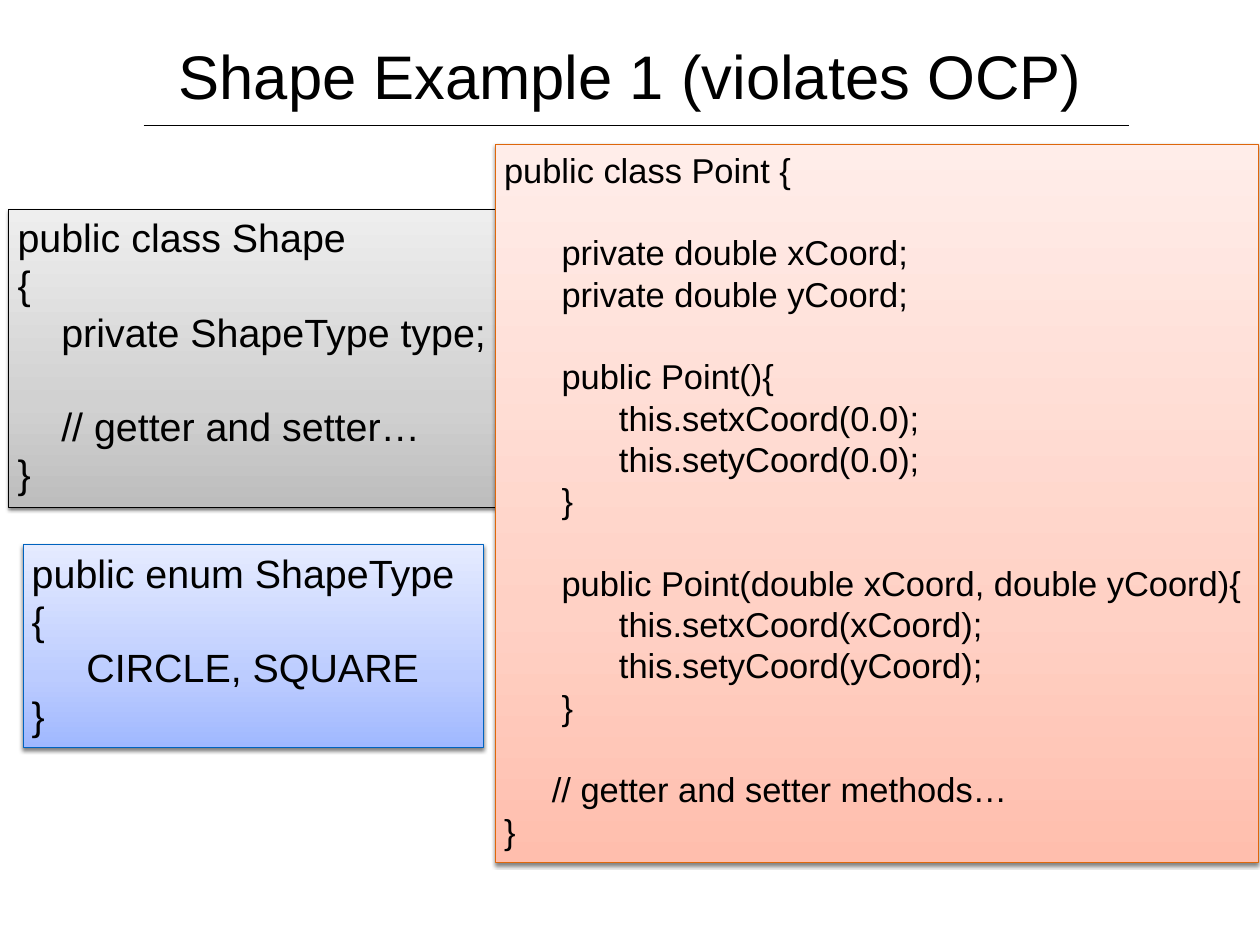
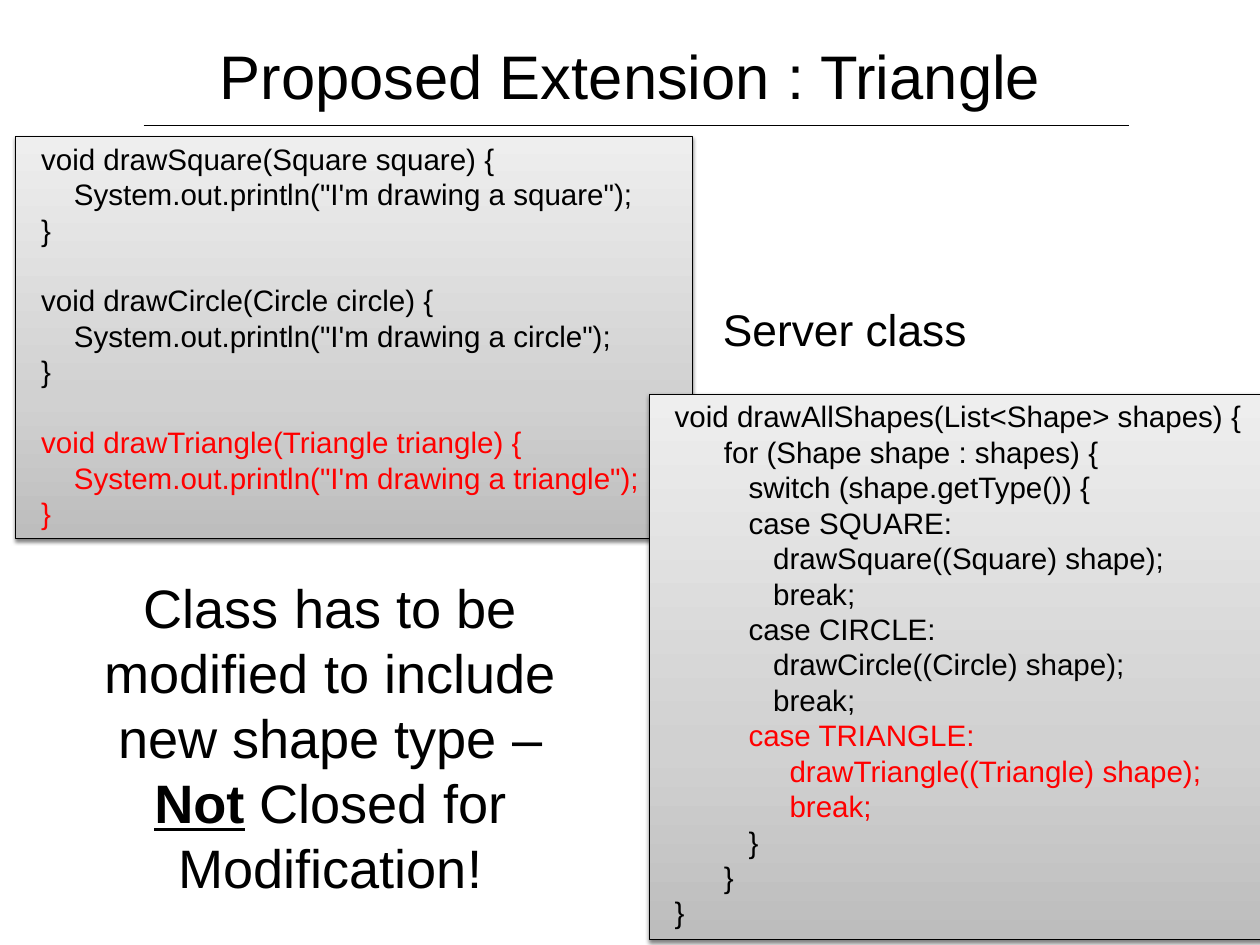
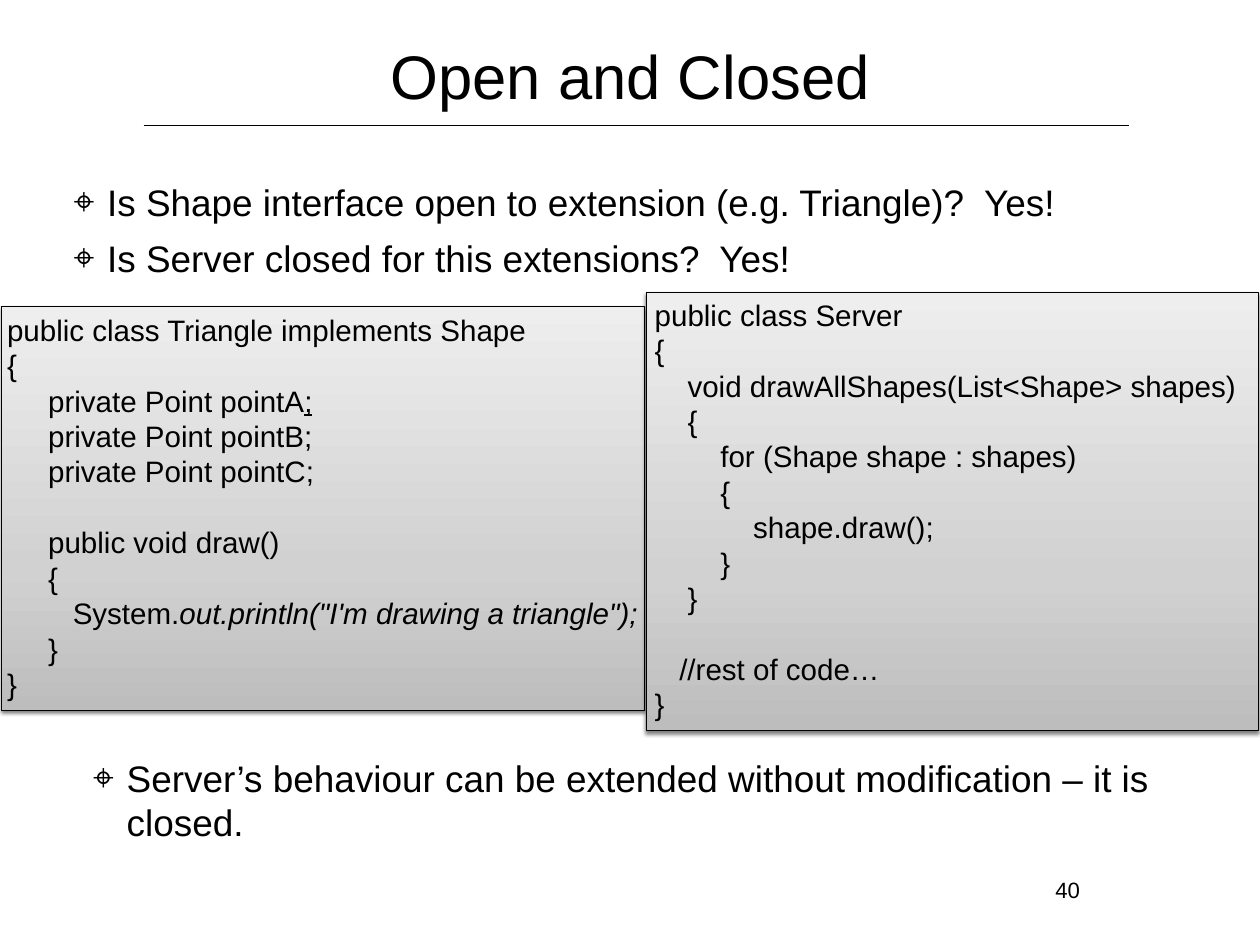
from lxml import etree
from pptx import Presentation
from pptx.dml.color import RGBColor
from pptx.enum.shapes import MSO_CONNECTOR, MSO_SHAPE
from pptx.enum.text import MSO_ANCHOR, MSO_AUTO_SIZE, PP_ALIGN
from pptx.oxml.ns import qn
from pptx.util import Inches, Pt

RECT = MSO_SHAPE.RECTANGLE
STRAIGHT = MSO_CONNECTOR.STRAIGHT
TOP, MIDDLE = MSO_ANCHOR.TOP, MSO_ANCHOR.MIDDLE
LEFT, CENTER = PP_ALIGN.LEFT, PP_ALIGN.CENTER
NO_FIT = MSO_AUTO_SIZE.NONE

FONT = "Arial"
BLACK, RED = "000000", "FF0000"
LINE_HEIGHT = 1.2
SPACE_WIDTH = 0.278
SMALL_INSET = 0.06
TITLE_ONLY, TITLE_BODY = 5, 1
GRAY = {"line": BLACK, "stops": ("BDBDBD", "D1D1D1", "EEEEEE")}
BLUE = {"line": "0063BF", "stops": ("A0B8FF", "BCCCFF", "E5EBFF")}
ORANGE = {"line": "DE670B", "stops": ("FFBEAD", "FFD1C5", "FFEDE9")}
STOP_POSITIONS = (0, 35, 100)

SHAPE_CLASS = """public class Shape
{
    private ShapeType type;

    // getter and setter…
}"""

SHAPE_ENUM = """public enum ShapeType
{
     CIRCLE, SQUARE
}"""

POINT_CLASS = """public class Point {

      private double xCoord;
      private double yCoord;

      public Point(){
            this.setxCoord(0.0);
            this.setyCoord(0.0);
      }

      public Point(double xCoord, double yCoord){
            this.setxCoord(xCoord);
            this.setyCoord(yCoord);
      }

     // getter and setter methods…
}"""

DRAW_METHODS = """  void drawSquare(Square square) {
      System.out.println("I'm drawing a square");
  }

  void drawCircle(Circle circle) {
      System.out.println("I'm drawing a circle");
  }"""

DRAW_TRIANGLE = """
  void drawTriangle(Triangle triangle) {
      System.out.println("I'm drawing a triangle");
  }"""

DRAW_ALL = """  void drawAllShapes(List<Shape> shapes) {
        for (Shape shape : shapes) {
           switch (shape.getType()) {
           case SQUARE:
              drawSquare((Square) shape);
              break;
           case CIRCLE:
              drawCircle((Circle) shape);
              break;"""

CASE_TRIANGLE = """           case TRIANGLE:
                drawTriangle((Triangle) shape);
                break;"""

DRAW_ALL_END = """           }
        }
  }"""

TRIANGLE_START = """public class Triangle implements Shape
{"""

TRIANGLE_MIDDLE = """     private Point pointB;
     private Point pointC;

     public void draw()
     {"""

TRIANGLE_END = """     }
}"""

SERVER_CLASS = """public class Server
{
    void drawAllShapes(List<Shape> shapes)
    {
        for (Shape shape : shapes)
        {
            shape.draw();
        }
    }

   //rest of code…
}"""


def rgb(color):
    return RGBColor.from_string(color)


def lines(text, **fmt):
    return [[(line, fmt)] for line in text.split("\n")]


def set_frame(tf, anchor=TOP, inset=None, wrap=True):
    tf.auto_size = NO_FIT
    tf.word_wrap = wrap
    tf.vertical_anchor = anchor
    if inset is not None:
        for side in ("left", "top", "right", "bottom"):
            setattr(tf, "margin_" + side, Inches(inset))


def add_run(p, text, size, color=BLACK, **fmt):
    r = p.add_run()
    r.text = text
    for name, value in {"name": FONT, "size": Pt(size), **fmt}.items():
        setattr(r.font, name, value)
    r.font.color.rgb = rgb(color)


def set_indent(p, left, first=0):
    pPr = p._p.get_or_add_pPr()
    pPr.set("marL", str(Inches(left)))
    pPr.set("indent", str(Inches(first)))
    return pPr


def write(tf, paragraphs, size, align=LEFT):
    p, gap = None, 0
    for runs in paragraphs:
        first = runs[0][0]
        if not first:
            gap += LINE_HEIGHT * size
            continue
        p = tf.add_paragraph() if p else tf.paragraphs[0]
        p.alignment = align
        p.line_spacing = Pt(LINE_HEIGHT * size)
        p.space_before = Pt(gap)
        gap = 0
        if align == LEFT:
            spaces = len(first) - len(first.lstrip(" "))
            set_indent(p, spaces * SPACE_WIDTH * size / 72)
            runs = [(first.lstrip(" "), runs[0][1])] + runs[1:]
        for text, fmt in runs:
            add_run(p, text, size, **fmt)


def write_bullets(tf, text):
    set_frame(tf, inset=SMALL_INSET)
    write(tf, lines(text), 30)
    for p in tf.paragraphs:
        p.space_before = Pt(9)
        pPr = set_indent(p, 0.42, -0.38)
        etree.SubElement(pPr, qn("a:buFont"), typeface=FONT)
        etree.SubElement(pPr, qn("a:buChar"), char="⌖")


def add_color(parent, color):
    return etree.SubElement(parent, qn("a:srgbClr"), val=color)


def set_gradient(sp, stops):
    sp.fill.gradient()
    sp.fill.gradient_angle = 90
    gs_list = sp.element.spPr.find(".//" + qn("a:gsLst"))
    for gs in list(gs_list):
        gs_list.remove(gs)
    for pos, color in zip(STOP_POSITIONS, stops):
        add_color(etree.SubElement(gs_list, qn("a:gs"), pos=str(pos * 1000)), color)


def set_shadow(sp):
    sp.shadow.inherit = False
    effects = sp.element.spPr.find(qn("a:effectLst"))
    shadow = etree.SubElement(effects, qn("a:outerShdw"), blurRad=str(Pt(3)),
                              dist=str(Pt(2)), dir="5400000", rotWithShape="0")
    etree.SubElement(add_color(shadow, BLACK), qn("a:alpha"), val="50000")


def add_code(s, box, paragraphs, size, theme=GRAY, inset=None):
    sp = s.shapes.add_shape(RECT, *map(Inches, box))
    set_gradient(sp, theme["stops"])
    sp.line.color.rgb = rgb(theme["line"])
    sp.line.width = Pt(0.75)
    set_shadow(sp)
    set_frame(sp.text_frame, inset=inset)
    write(sp.text_frame, paragraphs, size)


def add_text(s, box, paragraphs, size, align=LEFT, **frame):
    tf = s.shapes.add_textbox(*map(Inches, box)).text_frame
    set_frame(tf, **frame)
    write(tf, paragraphs, size, align)


def place(sp, box):
    for name, value in zip(("left", "top", "width", "height"), box):
        setattr(sp, name, Inches(value))


def add_slide(prs, title, layout=TITLE_ONLY):
    s = prs.slides.add_slide(prs.slide_layouts[layout])
    sp = s.shapes.title
    place(sp, (0.71, 0, 12.81, 1.69))
    set_frame(sp.text_frame, MIDDLE, SMALL_INSET)
    write(sp.text_frame, lines(title), 50, CENTER)
    return s


def add_master_rule(prs, s):
    rule = s.shapes.add_connector(STRAIGHT, Inches(1.62), Inches(1.42),
                                  Inches(12.74), Inches(1.42))
    rule.line.color.rgb = rgb(BLACK)
    rule.line.width = Pt(1)
    etree.SubElement(rule.element.spPr, qn("a:effectLst"))
    prs.slide_master.shapes.element.append(rule.element)


def build_example(prs):
    s = add_slide(prs, "Shape Example 1 (violates OCP)")
    add_master_rule(prs, s)
    add_code(s, (0.1, 2.36, 5.67, 3.37), lines(SHAPE_CLASS), 32)
    add_code(s, (0.26, 6.15, 5.2, 2.29), lines(SHAPE_ENUM), 32, BLUE)
    add_code(s, (5.59, 1.63, 8.61, 8.11), lines(POINT_CLASS), 28, ORANGE)


def build_extension(prs):
    s = add_slide(prs, "Proposed Extension : Triangle")
    add_code(s, (0.18, 1.54, 7.64, 4.54),
             lines(DRAW_METHODS) + lines(DRAW_TRIANGLE, color=RED), 24)
    verdict = lines("Class has to be modified to include new shape type –")
    verdict.append([("Not", {"bold": True, "underline": True}),
                    (" Closed for Modification!", {})])
    add_text(s, (0.5, 6.44, 6.46, 3.8), verdict, 44, CENTER)
    add_text(s, (8.06, 3.36, 3.12, 0.71), lines("Server class"), 36, wrap=False)
    add_code(s, (7.33, 4.45, 7.02, 6.16),
             lines(DRAW_ALL) + lines(CASE_TRIANGLE, color=RED) + lines(DRAW_ALL_END), 24)


def build_open_closed(prs):
    s = add_slide(prs, "Open and Closed", TITLE_BODY)
    add_text(s, (11.85, 9.83, 0.4, 0.41), lines("40"), 18, CENTER,
             inset=SMALL_INSET, wrap=False)
    body = s.placeholders[1]
    place(body, (0.73, 1.97, 12.67, 4.5))
    write_bullets(body.text_frame,
                  "Is Shape interface open to extension (e.g. Triangle)?  Yes!\n"
                  "Is Server closed for this extensions?  Yes!")
    point_a = [("     private Point pointA", {}), (";", {"underline": True})]
    println = [("        System.", {}),
               ("out.println(\"I'm drawing a triangle\");", {"italic": True})]
    triangle = (lines(TRIANGLE_START) + [point_a] + lines(TRIANGLE_MIDDLE)
                + [println] + lines(TRIANGLE_END))
    add_code(s, (0.02, 3.46, 7.25, 4.56), triangle, 24, inset=SMALL_INSET)
    conclusion = s.shapes.add_textbox(*map(Inches, (0.95, 8.47, 12.68, 1.12)))
    write_bullets(conclusion.text_frame,
                  "Server’s behaviour can be extended without modification – it is closed.")
    add_code(s, (7.29, 3.3, 6.91, 4.95), lines(SERVER_CLASS), 24)


def main():
    prs = Presentation()
    prs.slide_width, prs.slide_height = Inches(14.22), Inches(10.67)
    build_example(prs)
    build_extension(prs)
    build_open_closed(prs)
    prs.save("out.pptx")


if __name__ == "__main__":
    main()
